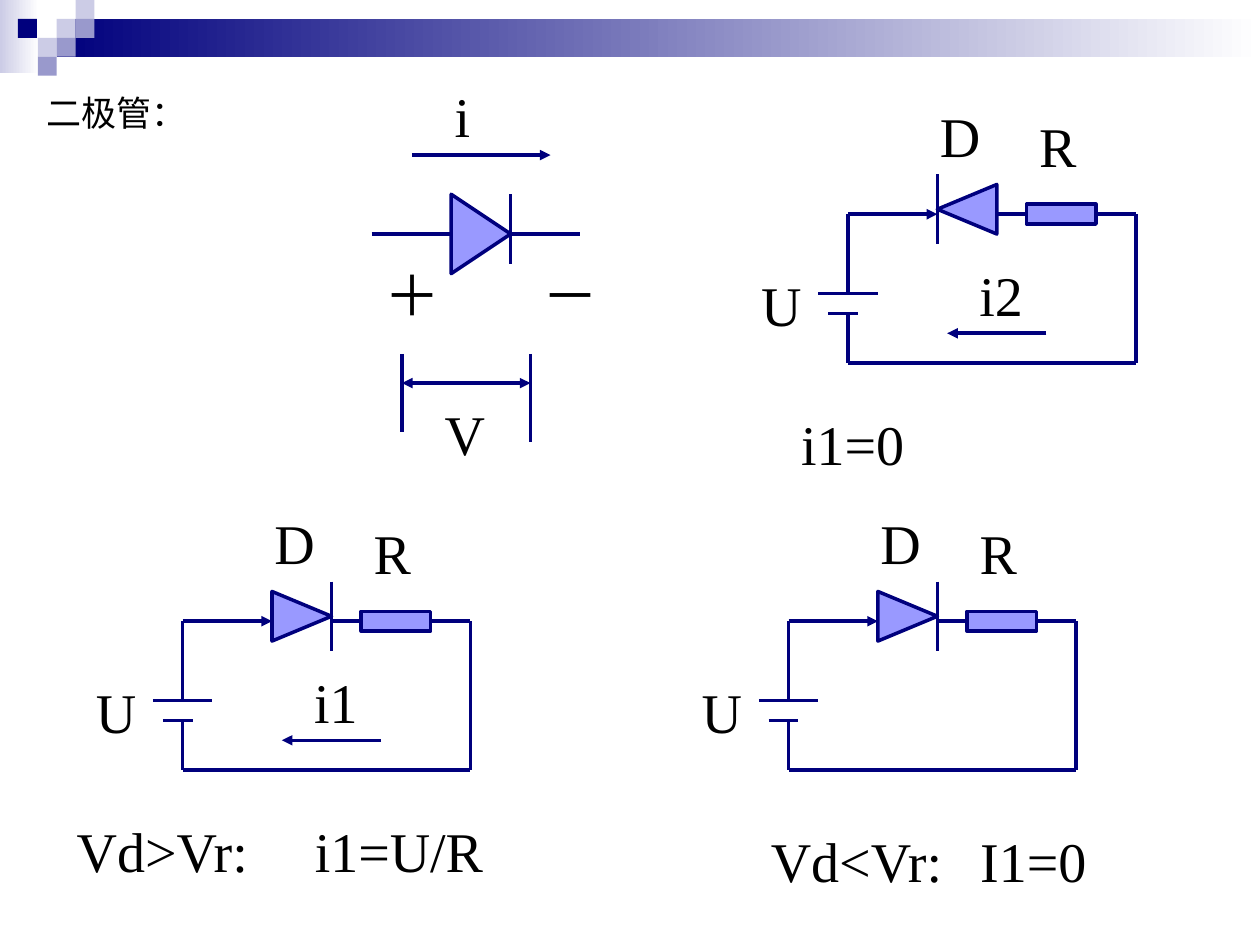
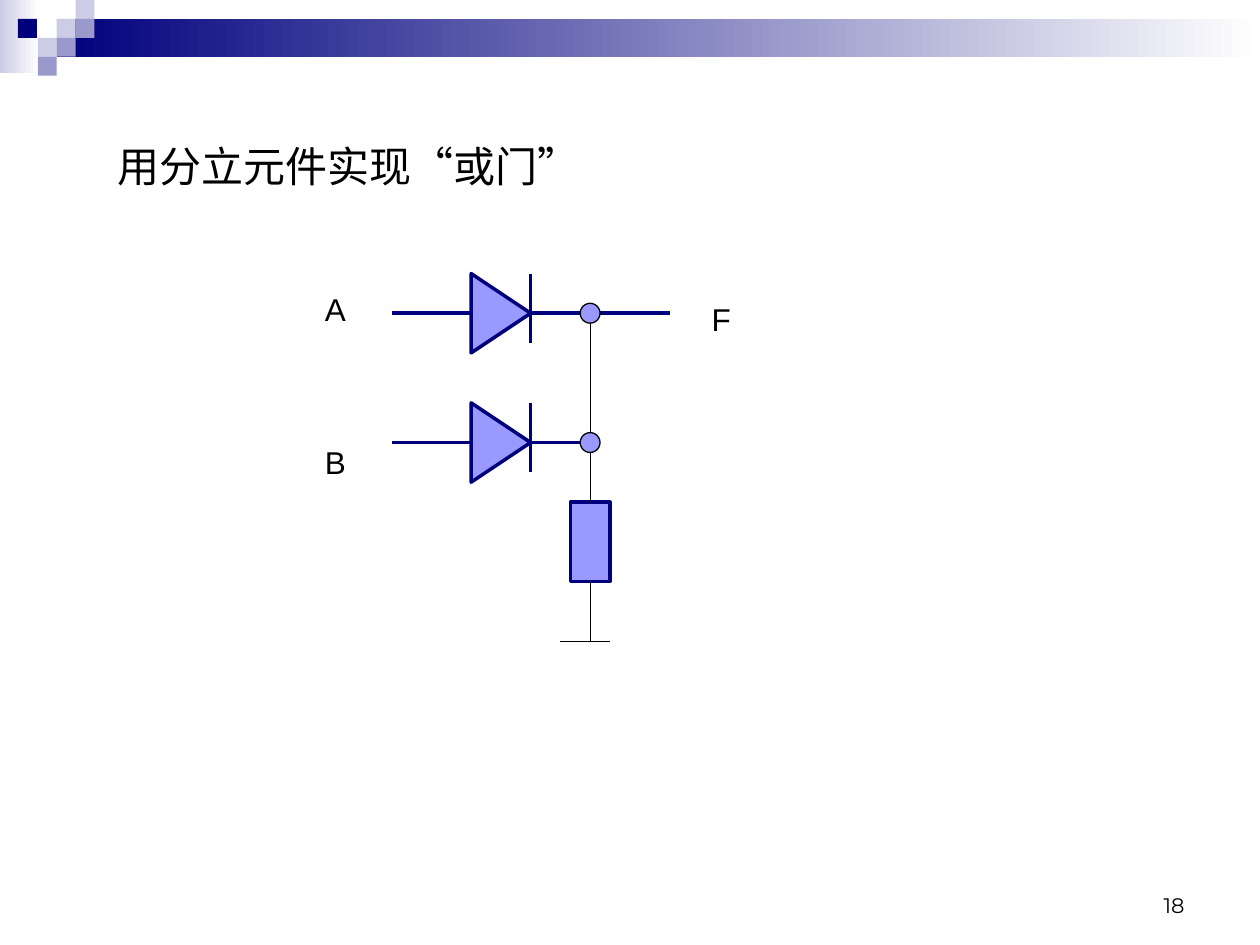
"""Builds two slides on diodes: basic circuits and an OR gate."""
from lxml.etree import SubElement
from pptx import Presentation
from pptx.dml.color import RGBColor
from pptx.enum.shapes import MSO_CONNECTOR, MSO_SHAPE
from pptx.enum.text import MSO_ANCHOR, PP_ALIGN
from pptx.oxml.ns import qn
from pptx.util import Pt

COLORS = {"navy": "00007D", "part": "9999FF", "pale": "CCCCE6",
          "mid": "9999CC", "white": "FFFFFF", "black": "000000"}
SERIF, SANS, NUMBER_FONT = "Times New Roman", "Arial", "Montserrat"
U = 5.67
DIODE = 6 * U
TILE = 10.8


class Deck:
    def __init__(self, prs):
        self.prs = prs
        self.s = None

    def color(self, name):
        return RGBColor.from_string(COLORS[name])

    def new_slide(self):
        self.s = self.prs.slides.add_slide(self.prs.slide_layouts[6])
        self.gradient(0, 0, 22.3, 41.8, "pale")
        self.gradient(3 * TILE, TILE, 720 - 3 * TILE, 2 * TILE, "navy")
        for col, row, fill in [(3, 1, "pale"), (4, 0, "pale"), (4, 1, "mid"),
                               (2, 2, "pale"), (0.95, 1, "navy"),
                               (3, 2, "mid"), (2, 3, "mid")]:
            self.shape(MSO_SHAPE.RECTANGLE, col * TILE, row * TILE,
                       TILE, TILE, fill, None)

    def shape(self, kind, x, y, w, h, fill="part", line="navy", weight=2):
        sp = self.s.shapes.add_shape(kind, Pt(x), Pt(y), Pt(w), Pt(h))
        sp.shadow.inherit = False
        sp.fill.solid()
        sp.fill.fore_color.rgb = self.color(fill)
        if line:
            sp.line.color.rgb = self.color(line)
            sp.line.width = Pt(weight)
        else:
            sp.line.fill.background()
        return sp

    def gradient(self, x, y, w, h, start):
        sp = self.shape(MSO_SHAPE.RECTANGLE, x, y, w, h, start, None)
        sp.fill.gradient()
        sp.fill.gradient_angle = 0
        for stop, name in zip(sp.fill.gradient_stops, (start, "white")):
            stop.color.rgb = self.color(name)

    def line(self, x1, y1, x2, y2, arrow=False, color="navy", weight=2):
        c = self.s.shapes.add_connector(MSO_CONNECTOR.STRAIGHT,
                                        Pt(x1), Pt(y1), Pt(x2), Pt(y2))
        c.line.color.rgb = self.color(color)
        c.line.width = Pt(weight)
        if arrow:
            SubElement(c.line._get_or_add_ln(), qn("a:tailEnd"), type="triangle")
        SubElement(c._element.spPr, qn("a:effectLst"))
        return c

    def thin_line(self, x1, y1, x2, y2):
        return self.line(x1, y1, x2, y2, color="black", weight=0.75)

    def text(self, x, y, w, h, *lines, size=32, font=SERIF, gap=0,
             align=PP_ALIGN.LEFT, anchor=MSO_ANCHOR.TOP):
        tf = self.s.shapes.add_textbox(Pt(x), Pt(y), Pt(w), Pt(h)).text_frame
        tf.word_wrap = True
        tf.vertical_anchor = anchor
        for i, line in enumerate(lines):
            p = tf.add_paragraph() if i else tf.paragraphs[0]
            p.text = line
            p.alignment = align
            if i:
                p.space_before = Pt(gap)
            p.font.size = Pt(size)
            p.font.name = font
            p.font.color.rgb = self.color("black")

    def label(self, x, y, w, text):
        self.text(x, y, w, 46, text)

    def diode(self, x, y, top=-4, bottom=4, reverse=False):
        h = (bottom - top) * U
        mid = y + (top + bottom) * U / 2
        sp = self.shape(MSO_SHAPE.ISOSCELES_TRIANGLE, x + (DIODE - h) / 2,
                        mid - DIODE / 2, h, DIODE)
        sp.rotation = 270 if reverse else 90
        bar = x if reverse else x + DIODE
        self.line(bar, y - 4 * U, bar, y + 3 * U)

    def diode_with_leads(self, x, y, out):
        self.diode(x, y)
        self.line(x - 8 * U, y, x, y)
        self.line(x + DIODE, y, x + out * U, y)

    def circuit(self, x, y, current=None, reverse=False):
        for x1, y1, x2, y2, arrow in [
                (-3, 8, 3, 8, False), (-2, 10, 1, 10, False),
                (0, 8, 0, 0, False), (0, 0, 9, 0, True),
                (0, 10, 0, 15, False), (0, 15, 29, 15, False),
                (29, 0, 29, 15, False)]:
            self.line(x + x1 * U, y + y1 * U, x + x2 * U, y + y2 * U, arrow)
        self.diode(x + 9 * U, y, -3, 2, reverse)
        resistor = self.shape(MSO_SHAPE.RECTANGLE, x + 18 * U, y - U, 7 * U, 2 * U)
        self.line(x + 15 * U, y, x + 18 * U, y).end_connect(resistor, 1)
        self.line(x + 25 * U, y, x + 29 * U, y).begin_connect(resistor, 3)
        for col, row, width, name in [(18, -11, 9, "R"), (8, -12, 7, "D"),
                                      (-10, 5, 7, "U")]:
            self.label(x + col * U, y + row * U, width * U, name)
        if current:
            self.line(x + 20 * U, y + 12 * U, x + 10 * U, y + 12 * U, True)
            self.label(x + 12 * U, y + 4 * U, 10 * U, current)


def diode_slide(d):
    d.new_slide()
    d.text(19.4, 49, 164, 62.6, "二极管：", size=20, font=SANS)

    d.diode_with_leads(257.8, 133.7, 13)
    d.line(235.4, 88.6, 314.6, 88.6, True)
    d.label(252.7, 43.2, 57, "i")
    d.label(212.4, 145.4, 34, "＋")
    d.label(303.1, 145.4, 45, "－")
    for x, bottom in [(229.7, 247), (303.1, 252.7)]:
        d.line(263.5, 218.9, x, 218.9, True)
        d.line(x, 202.3, x, bottom)
    d.label(247, 224.6, 51, "V")

    d.circuit(104.4, 355, "i1")
    d.circuit(484.6, 122.4, "i2", reverse=True)
    d.circuit(450.6, 355)
    for x, y, w, text in [(172.8, 463, 125, "i1=U/R"), (450.7, 230.4, 210, "i1=0"),
                          (553, 468.7, 91, "I1=0"), (36.7, 463, 125, "Vd>Vr:"),
                          (433.4, 468.7, 125, "Vd<Vr:")]:
        d.label(x, y, w, text)


def or_gate_slide(d):
    d.new_slide()
    x, row_a, row_b = 269.2, 179, 252.9
    node_x = x + 12 * U
    d.diode_with_leads(x, row_a, 13)
    d.diode_with_leads(x, row_b, 12)
    d.line(x + 13 * U, row_a, x + 20 * U, row_a)
    resistor = d.shape(MSO_SHAPE.RECTANGLE, node_x - 2 * U, 287, 4 * U, 8 * U)
    d.thin_line(node_x, row_a + U, node_x, row_b)
    d.thin_line(node_x, row_b, node_x, 287).end_connect(resistor, 0)
    d.thin_line(node_x, 332.4, node_x, 366.5).begin_connect(resistor, 2)
    d.thin_line(node_x - 3 * U, 366.5, node_x + 2 * U, 366.5)
    for y in (row_a, row_b):
        d.shape(MSO_SHAPE.OVAL, node_x - U, y - U, 2 * U, 2 * U,
                line="black", weight=0.75)
    d.text(178.6, 162, 28, 115, "A", "B", size=18, font=SANS, gap=66)
    d.text(399.6, 167.8, 45, 29, "F", size=18, font=SANS)
    d.text(59.8, 77, 317.5, 36, "用分立元件实现“或门”", size=24, font=SANS)
    d.text(516.2, 491.8, 167.8, 36, "18", size=12, font=NUMBER_FONT,
           align=PP_ALIGN.RIGHT, anchor=MSO_ANCHOR.BOTTOM)


def main():
    prs = Presentation()
    prs.slide_width, prs.slide_height = Pt(720), Pt(540)
    d = Deck(prs)
    diode_slide(d)
    or_gate_slide(d)
    prs.save("out.pptx")


if __name__ == "__main__":
    main()
